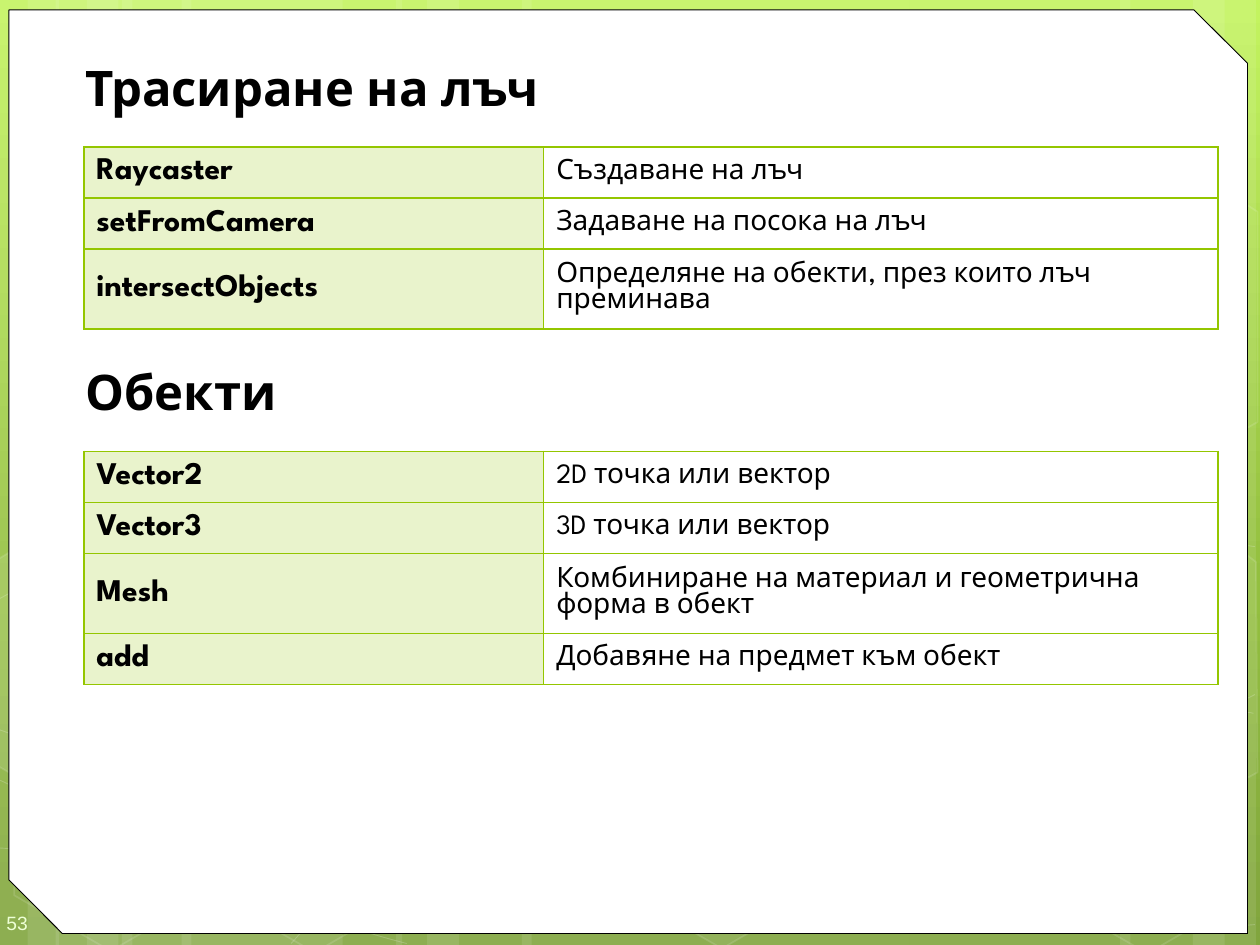
from copy import deepcopy
from typing import NamedTuple

from lxml.etree import SubElement
from pptx import Presentation
from pptx.dml.color import RGBColor
from pptx.enum.shapes import MSO_SHAPE as Preset
from pptx.enum.text import MSO_ANCHOR as Anchor, MSO_AUTO_SIZE as AutoSize, PP_ALIGN as Align
from pptx.oxml.ns import qn
from pptx.util import Cm, Pt

FONT = "League Spartan"
GREEN, WHITE, BLACK = "94C600", "FFFFFF", "000000"


class Band(NamedTuple):
    left: float
    width: float


class Hexagon(NamedTuple):
    left: float
    top: float
    fill_opacity: int
    line_opacity: int


class Polygon(NamedTuple):
    points: list
    fill_opacity: int


class Reference(NamedTuple):
    top: float
    rows: list


BANDS = [
    Band(2.46, 4.45), Band(-0.08, 1.27), Band(0.56, 2.11), Band(3.66, 4.45),
    Band(1.12, 1.27), Band(1.75, 2.11), Band(18.34, 4.45), Band(24.05, 1.27),
    Band(22.58, 2.11), Band(10.52, 7.82), Band(7.98, 1.27), Band(8.61, 2.11),
]
HEXAGONS = [
    Hexagon(8.26, 7.95, 10, 12), Hexagon(10.26, 11.46, 0, 12), Hexagon(10.29, 4.42, 7, 8),
    Hexagon(8.2, 0.91, 4, 8), Hexagon(12.32, 14.96, 6, 12), Hexagon(0, 15.01, 0, 12),
    Hexagon(0.08, 7.92, 7, 8), Hexagon(2.08, 11.46, 0, 12), Hexagon(4.11, 15.04, 0, 12),
    Hexagon(4.19, 7.95, 7, 8), Hexagon(2.13, 4.34, 0, 12), Hexagon(18.85, 11.51, 10, 12),
    Hexagon(20.9, 15.06, 0, 12), Hexagon(20.9, 7.98, 7, 8),
]
POLYGONS = [
    Polygon([(-0.08, 11.3), (0.2, 11.13), (2.16, 12.24), (2.13, 14.48), (0.23, 15.6),
             (-0.08, 15.42)], 10),
    Polygon([(23.24, 12.32), (25.15, 11.2), (25.32, 11.33), (25.35, 15.57), (25.17, 15.67),
             (23.22, 14.55)], 4),
    Polygon([(23.24, 5.26), (25.15, 4.14), (25.35, 4.27), (25.35, 8.51), (25.17, 8.61),
             (23.22, 7.49)], 0),
]
# Each curve is a start point followed by cubic segments of three points.
CURVES = [
    [(-0.1, 17.09), (1.27, 17.17), (2.64, 17.25), (4.55, 17.22), (6.45, 17.2), (8.79, 17.15),
     (11.35, 16.89), (13.89, 16.64), (17.5, 16.15), (19.81, 15.67), (22.15, 15.19),
     (24.54, 14.43), (25.3, 14)],
    [(-0.1, 12.12), (0.64, 11.71), (1.37, 11.33), (2.79, 10.95), (4.24, 10.57), (6.27, 10.01),
     (8.53, 9.83), (10.8, 9.65), (13.54, 9.63), (16.33, 9.83), (19.13, 10.03),
     (23.77, 10.82), (25.3, 11.02)],
    [(-0.13, 15.67), (2.92, 17.07), (5.99, 18.47), (8.2, 19.02)],
    [(-0.1, 14.68), (0.69, 14.96), (1.5, 15.24), (2.97, 15.65), (4.45, 16.03), (6.65, 16.66),
     (8.76, 17.09), (10.9, 17.53), (13.56, 17.98), (15.67, 18.24), (17.75, 18.52),
     (20.04, 18.62), (21.36, 18.69), (22.71, 18.8), (23.06, 18.75), (23.72, 18.75),
     (24.36, 18.72), (24.84, 18.67), (25.3, 18.64)],
    [(5.87, 19.02), (6.32, 18.52), (6.78, 18.01), (7.39, 17.55), (8, 17.09), (8.86, 16.59),
     (9.55, 16.23), (10.26, 15.88), (10.72, 15.72), (11.63, 15.47), (12.57, 15.21),
     (14.27, 14.86), (15.16, 14.68), (16.05, 14.5), (16.21, 14.5), (16.99, 14.45),
     (17.78, 14.38), (19.02, 14.3), (19.89, 14.27), (20.75, 14.25), (22.23, 14.27),
     (22.23, 14.27), (22.23, 14.27), (23.9, 14.27), (23.9, 14.27), (24.38, 14.3),
     (24.82, 14.33), (25.04, 14.35), (25.25, 14.38), (25.17, 14.35), (25.27, 14.38)],
]
TABLES = [
    Reference(2.96, [
        ("Raycaster", "Създаване на лъч"),
        ("setFromCamera", "Задаване на посока на лъч"),
        ("intersectObjects", "Определяне на обекти, през които лъч преминава"),
    ]),
    Reference(9.1, [
        ("Vector2", "2D точка или вектор"),
        ("Vector3", "3D точка или вектор"),
        ("Mesh", "Комбиниране на материал и геометрична форма в обект"),
        ("add", "Добавяне на предмет към обект"),
    ]),
]


def color(hex_code: str) -> RGBColor:
    return RGBColor.from_string(hex_code)


def apply(target, **values) -> None:
    for name, value in values.items():
        setattr(target, name, value)


def paint(fill, hex_code: str, opacity: int = 100) -> None:
    """Fill with a colour; an opacity of 0 means no fill."""
    if not opacity:
        fill.background()
        return
    fill.solid()
    fill.fore_color.rgb = color(hex_code)
    if opacity < 100:
        clr = fill._xPr.find(".//" + qn("a:srgbClr"))
        SubElement(clr, qn("a:alpha"), val=str(opacity * 1000))


def finish(shape, fill_opacity: int, line_opacity: int, width: float = 1,
           line_color: str = WHITE) -> None:
    shape.shadow.inherit = False
    paint(shape.fill, WHITE, fill_opacity)
    paint(shape.line.fill, line_color, line_opacity)
    if line_opacity:
        shape.line.width = Pt(width)


def write(paragraph, text: str, size: float, bold: bool, hex_code: str = BLACK,
          font: str = FONT) -> None:
    run = paragraph.add_run()
    run.text = text
    apply(run.font, name=font, size=Pt(size), bold=bold)
    run.font.color.rgb = color(hex_code)


def draw_outline(shapes, points: list, close: bool):
    start, *rest = [(Cm(x), Cm(y)) for x, y in points]
    builder = shapes.build_freeform(*start)
    builder.add_line_segments(rest, close=close)
    return builder.convert_to_shape()


def draw_curve(shapes, points: list):
    """Draw an outline and join each three of its lines into one cubic segment."""
    shape = draw_outline(shapes, points, False)
    lines = list(shape.element.iter(qn("a:lnTo")))
    for first in range(0, len(lines), 3):
        outline = lines[first].getparent()
        segment = SubElement(outline, qn("a:cubicBezTo"))
        for line in lines[first:first + 3]:
            segment.append(line[0])
            outline.remove(line)
    return shape


def draw_background(slide) -> None:
    fill = slide.background.fill
    fill.gradient()
    fill.gradient_angle = 270
    stop_list = slide.element.find(".//" + qn("a:gsLst"))
    stop_list.append(deepcopy(stop_list[-1]))
    stops = [(0, "C3F35F"), (0.62, "93BF3F"), (1, "81A53E")]
    for stop, (position, hex_code) in zip(fill.gradient_stops, stops):
        stop.position = position
        stop.color.rgb = color(hex_code)


def draw_decoration(slide, master) -> None:
    """Draw the pattern and the white panel, and hand them to the master."""
    group = slide.shapes.add_group_shape()
    shapes = group.shapes
    for band in BANDS:
        finish(shapes.add_shape(Preset.RECTANGLE, Cm(band.left), 0, Cm(band.width), Cm(19.05)),
               10, 0)
    for points in CURVES:
        finish(draw_curve(shapes, points), 0, 20, 0.5)
    for item in HEXAGONS:
        shape = shapes.add_shape(Preset.HEXAGON, Cm(item.left), Cm(item.top), Cm(4.45), Cm(3.86))
        shape.rotation = 30
        shape.adjustments[0] = 0.285
        finish(shape, item.fill_opacity, item.line_opacity)
    for polygon in POLYGONS:
        finish(draw_outline(shapes, polygon.points, True), polygon.fill_opacity, 12)

    panel = slide.shapes.add_shape(Preset.SNIP_2_DIAG_RECTANGLE, Cm(0.18), Cm(0.2),
                                   Cm(24.97), Cm(18.62))
    panel.adjustments[0], panel.adjustments[1] = 0, 0.058
    finish(panel, 100, 100, 0.5, BLACK)
    for part in (group, panel):
        master.shapes.element.append(part.element)


def draw_slide_number(slide) -> None:
    frame = slide.shapes.add_textbox(0, Cm(18.03), Cm(1.47), Cm(1.02)).text_frame
    apply(frame, word_wrap=True, vertical_anchor=Anchor.MIDDLE, margin_left=Cm(0.13),
          margin_top=Cm(0.38), margin_right=0, margin_bottom=Cm(0.25))
    write(frame.paragraphs[0], "53", 11, False, "EEFFD6", "Arial")


def draw_headings(slide) -> None:
    body = slide.placeholders[1]
    apply(body, left=Cm(1.27), top=Cm(1.04), width=Cm(23.93), height=Cm(17.81))
    frame = body.text_frame
    frame.auto_size = AutoSize.NONE
    for text, gap in (("Трасиране на лъч", 0), ("Обекти", 140)):
        paragraph = frame.add_paragraph() if gap else frame.paragraphs[0]
        properties = paragraph._p.get_or_add_pPr()
        properties.set("marL", str(Cm(0.2)))
        properties.set("indent", "0")
        SubElement(properties, qn("a:buNone"))
        apply(paragraph, space_before=Pt(gap), alignment=Align.LEFT)
        write(paragraph, text, 28, True)


def draw_borders(cell) -> None:
    properties = cell._tc.get_or_add_tcPr()
    for index, side in enumerate(("lnL", "lnR", "lnT", "lnB")):
        line = SubElement(properties, qn("a:" + side), w=str(Pt(1)))
        properties.insert(index, line)
        SubElement(SubElement(line, qn("a:solidFill")), qn("a:srgbClr"), val=GREEN)


def draw_table(slide, reference: Reference) -> None:
    rows = reference.rows
    table = slide.shapes.add_table(len(rows), 2, Cm(1.69), Cm(reference.top), Cm(22.86),
                                   Cm(1.03 * len(rows))).table
    apply(table, first_row=False, horz_banding=False)
    table.columns[0].width, table.columns[1].width = Cm(9.27), Cm(13.59)
    for row_index, texts in enumerate(rows):
        for column, (text, size, opacity) in enumerate(zip(texts, (18, 16), (20, 0))):
            cell = table.cell(row_index, column)
            cell.vertical_anchor = Anchor.MIDDLE
            paint(cell.fill, GREEN, opacity)
            draw_borders(cell)
            write(cell.text_frame.paragraphs[0], text, size, column == 0)


def main() -> None:
    presentation = Presentation()
    apply(presentation, slide_width=Cm(25.4), slide_height=Cm(19.05))
    slide = presentation.slides.add_slide(presentation.slide_layouts[1])
    slide.shapes.element.remove(slide.shapes.title.element)
    draw_background(slide)
    draw_decoration(slide, presentation.slide_master)
    draw_slide_number(slide)
    draw_headings(slide)
    for reference in TABLES:
        draw_table(slide, reference)
    presentation.save("out.pptx")


if __name__ == "__main__":
    main()
